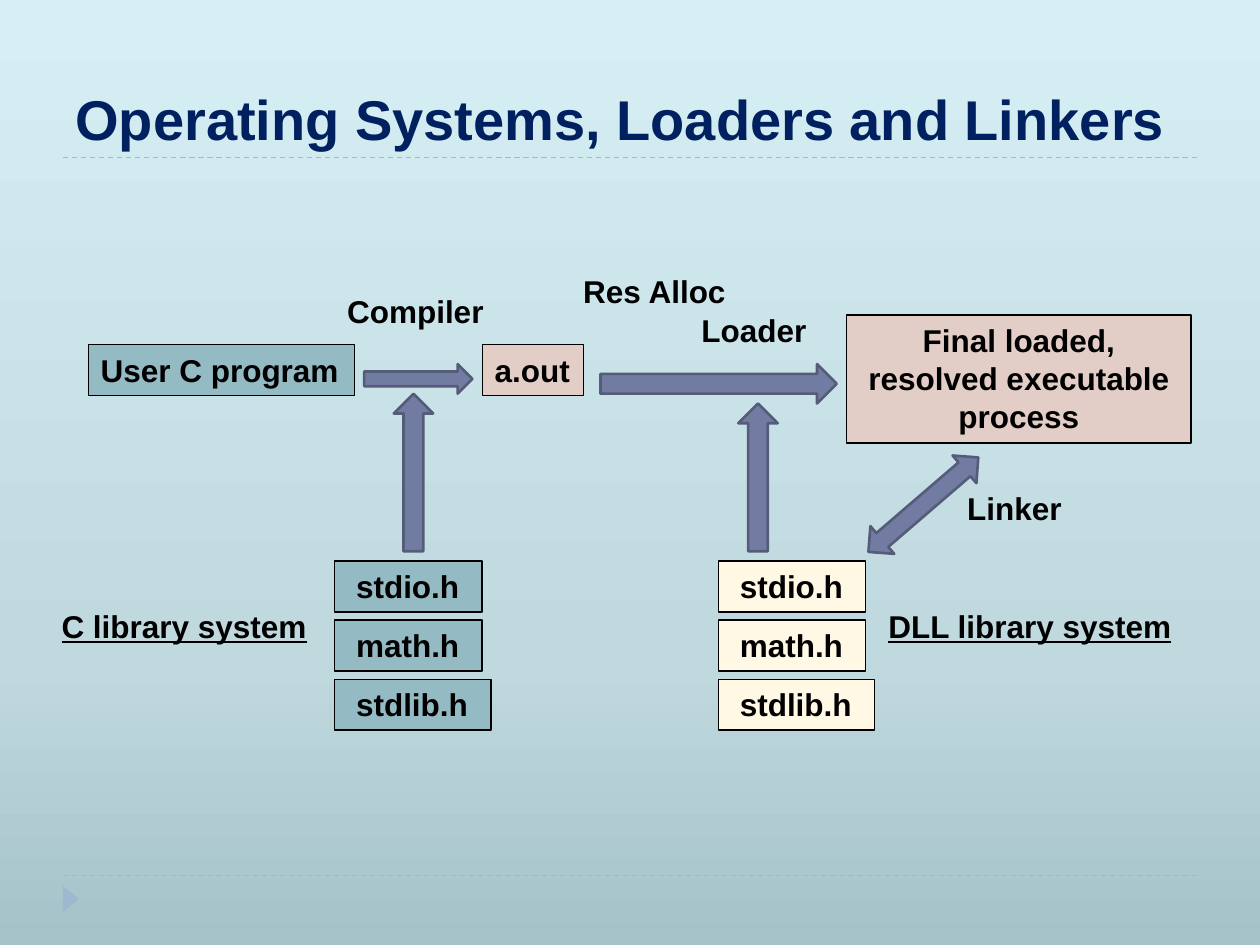
from copy import deepcopy
from dataclasses import dataclass

from lxml.etree import SubElement
from pptx import Presentation
from pptx.dml.color import RGBColor
from pptx.enum.dml import MSO_LINE
from pptx.enum.shapes import MSO_CONNECTOR, MSO_SHAPE
from pptx.enum.text import MSO_ANCHOR, MSO_AUTO_SIZE, PP_ALIGN
from pptx.oxml.ns import qn
from pptx.util import Pt

HUES = {
    "low": "A5C2C9", "mid": "C0D9DF", "top": "D5EFF5",
    "rule": "9FB8CD", "navy": "002060", "ink": "000000",
    "teal": "94BAC3", "rose": "E3CEC7", "cream": "FEF8E4",
    "arrow": "727CA3", "edge": "545C79",
}
FONT = {"name": "Arial", "size": Pt(18), "bold": True}
FRAME = {"word_wrap": False, "vertical_anchor": MSO_ANCHOR.TOP,
         "auto_size": MSO_AUTO_SIZE.SHAPE_TO_FIT_TEXT}


@dataclass
class Label:
    text: str
    left: float
    top: float
    width: float
    height: float = 29.1
    fill: str = ""
    inset: float = 7.2
    line: bool = False


@dataclass
class Arrow:
    kind: MSO_SHAPE
    left: float
    top: float
    width: float
    height: float
    turn: float = 0


def hue(name: str) -> RGBColor:
    return RGBColor.from_string(HUES[name])


def apply(item, values: dict) -> None:
    for key, value in values.items():
        setattr(item, key, value)


def paint(shape, fill: str, edge: str = "", width: float = 0.75) -> None:
    shape.shadow.inherit = False
    shape.fill.solid()
    shape.fill.fore_color.rgb = hue(fill)
    if edge:
        shape.line.color.rgb = hue(edge)
        shape.line.width = Pt(width)
    else:
        shape.line.fill.background()


def write(shape, text: str, frame: dict, font: dict, ink: str = "ink",
          align: PP_ALIGN = PP_ALIGN.LEFT) -> None:
    apply(shape.text_frame, frame)
    par = shape.text_frame.paragraphs[0]
    par.alignment = align
    run = par.add_run()
    run.text = text
    apply(run.font, font)
    run.font.color.rgb = hue(ink)


def draw_label(slide, item: Label) -> None:
    area = [Pt(n) for n in (item.left, item.top, item.width, item.height)]
    if item.fill:
        shape = slide.shapes.add_shape(MSO_SHAPE.RECTANGLE, *area)
        paint(shape, item.fill, "ink")
    else:
        shape = slide.shapes.add_textbox(*area)
    frame = FRAME | {"margin_left": Pt(item.inset)}
    write(shape, item.text, frame, FONT | {"underline": item.line})


def draw_arrow(slide, item: Arrow) -> None:
    area = [Pt(n) for n in (item.left, item.top, item.width, item.height)]
    shape = slide.shapes.add_shape(item.kind, *area)
    shape.rotation = item.turn
    paint(shape, "arrow", "edge", 1.5)


def draw_rule(slide, top: float) -> None:
    rule = slide.shapes.add_connector(
        MSO_CONNECTOR.STRAIGHT, Pt(36), Pt(top), Pt(684), Pt(top))
    rule.line.color.rgb = hue("rule")
    apply(rule.line, {"width": Pt(0.75), "dash_style": MSO_LINE.DASH})
    SubElement(rule.element.spPr, qn("a:effectLst"))


def draw_back(slide) -> None:
    fill = slide.background.fill
    fill.gradient()
    fill.gradient_angle = 90
    stops = slide.element.find(".//" + qn("a:gsLst"))
    stops.append(deepcopy(stops[-1]))
    for stop, spot, name in zip(fill.gradient_stops, (0, 0.3, 1),
                                ("low", "mid", "top")):
        stop.position = spot
        stop.color.rgb = hue(name)


def draw_stack(slide, left: float, fill: str) -> None:
    heads = (("stdio.h", 84.2), ("math.h", 84.2), ("stdlib.h", 89.3))
    for row, (text, width) in enumerate(heads):
        draw_label(slide, Label(text, left, 320.6 + 33.75 * row, width,
                                fill=fill, inset=12.2))


def main() -> None:
    deck = Presentation()
    apply(deck, {"slide_width": Pt(720), "slide_height": Pt(540)})
    slide = deck.slides.add_slide(deck.slide_layouts[6])
    draw_back(slide)
    for top in (500.4, 90):
        draw_rule(slide, top)
    mark = slide.shapes.add_shape(
        MSO_SHAPE.ISOSCELES_TRIANGLE, Pt(33.1), Pt(509), Pt(15), Pt(9.4))
    mark.rotation = 90
    paint(mark, "rule")

    title = slide.shapes.add_textbox(Pt(36), Pt(12.2), Pt(648), Pt(77.8))
    write(title, "Operating Systems, Loaders and Linkers",
          {"word_wrap": True, "vertical_anchor": MSO_ANCHOR.BOTTOM},
          FONT | {"size": Pt(32)}, "navy")

    for item in (
        Label("User C program", 50.4, 196.9, 152.2, fill="teal"),
        Label("a.out", 275.6, 196.9, 58, fill="rose"),
        Label("Compiler", 191.3, 163.1, 93.6),
        Label("C library system", 28.1, 343.1, 155.5, line=True),
        Label("DLL library system", 500.6, 343.1, 177.8, line=True),
        Label("Res Alloc", 326.2, 151.9, 96.5),
        Label("Loader", 393.8, 174.4, 74.9),
        Label("Linker", 545.6, 275.6, 69.1),
    ):
        draw_label(slide, item)
    draw_stack(slide, 191.3, "teal")
    draw_stack(slide, 410.6, "cream")

    final = slide.shapes.add_shape(
        MSO_SHAPE.RECTANGLE, Pt(483.8), Pt(180), Pt(196.9), Pt(73.1))
    paint(final, "rose", "ink")
    write(final, "Final loaded, resolved executable process",
          FRAME | {"word_wrap": True}, FONT, align=PP_ALIGN.CENTER)

    for item in (
        Arrow(MSO_SHAPE.RIGHT_ARROW, 208.1, 208.1, 61.9, 16.9),
        Arrow(MSO_SHAPE.UP_ARROW, 225, 225, 22.5, 90),
        Arrow(MSO_SHAPE.RIGHT_ARROW, 343.1, 208.1, 135, 22.5),
        Arrow(MSO_SHAPE.UP_ARROW, 421.9, 230.6, 22.5, 84.4),
        Arrow(MSO_SHAPE.UP_DOWN_ARROW, 517.2, 247, 20.9, 82.8, 49.3),
    ):
        draw_arrow(slide, item)
    deck.save("out.pptx")


if __name__ == "__main__":
    main()
